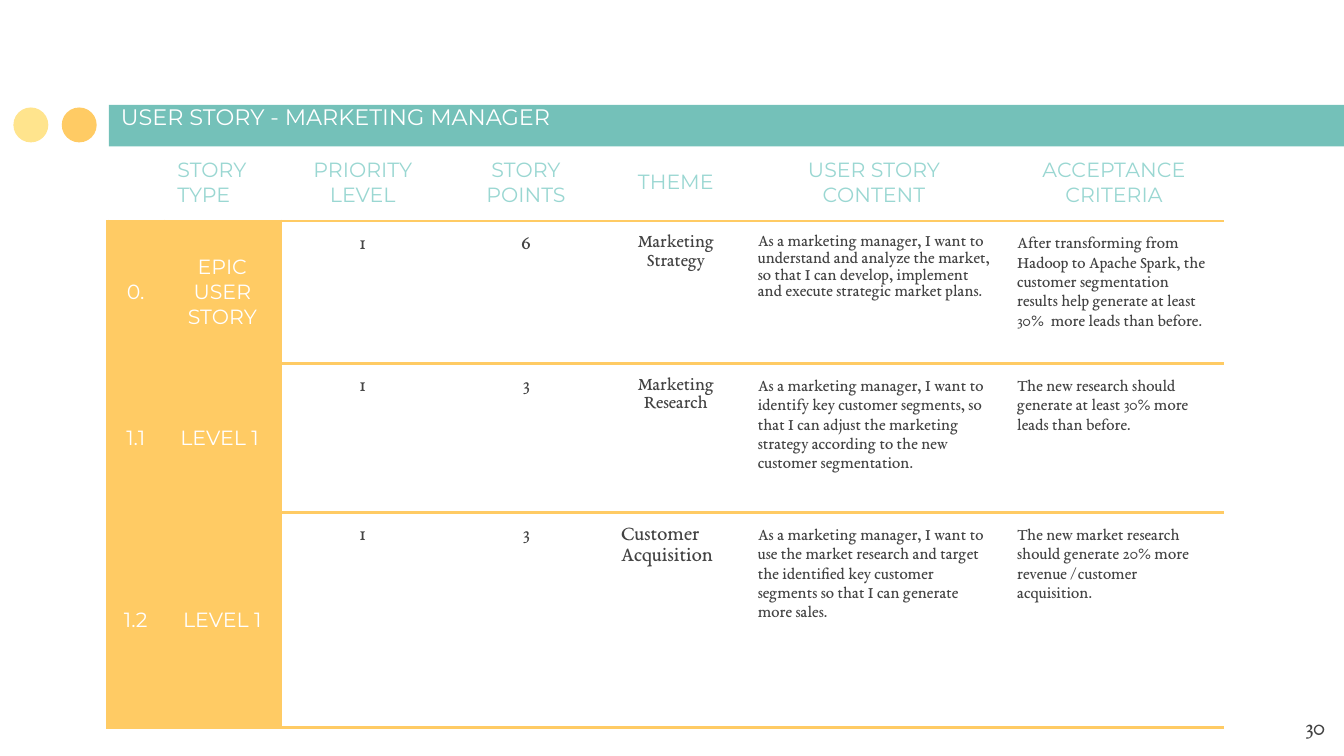
from lxml.etree import SubElement
from pptx import Presentation
from pptx.dml.color import RGBColor
from pptx.enum.shapes import MSO_SHAPE
from pptx.enum.text import MSO_ANCHOR, MSO_AUTO_SIZE, PP_ALIGN
from pptx.oxml.ns import qn
from pptx.util import Inches, Pt

SANS, SERIF = "Montserrat", "EB Garamond"
TEAL, PALE_TEAL, YELLOW, PALE_YELLOW = "74C1B9", "9AD7D2", "FFCB64", "FFE48D"
WHITE, GREY = "FFFFFF", "434343"
LEFT, CENTER, RIGHT = PP_ALIGN.LEFT, PP_ALIGN.CENTER, PP_ALIGN.RIGHT
INSET = Inches(0.1)

COLUMNS = [0.42, 0.87, 1.22, 1.21, 1.02, 1.93, 1.64]
ROWS = [0.51, 1.06, 1.11, 1.6]
LABEL_COLUMNS = 2
THEME_COLUMN = 4
STORIES = [
    ["", "STORY TYPE", "PRIORITY LEVEL", "STORY POINTS", "THEME",
     "USER STORY CONTENT", "ACCEPTANCE CRITERIA"],
    ["0.", "EPIC USER STORY", "1", "6", "Marketing Strategy",
     "As a marketing manager, I want to understand and analyze the market, "
     "so that I can develop, implement and execute strategic market plans.",
     "After transforming from Hadoop to Apache Spark, the customer segmentation "
     "results help generate at least 30%  more leads than before."],
    ["1.1", "LEVEL 1 ", "1", "3", "Marketing Research",
     "As a marketing manager, I want to identify key customer segments, so that I can "
     "adjust the marketing strategy according to the new customer segmentation.",
     "The new research should generate at least 30% more leads than before."],
    ["1.2", "LEVEL 1", "1", "3", "Customer Acquisition",
     "As a marketing manager, I want to use the market research and target the "
     "identified key customer segments so that I can generate more sales.",
     "The new market research should generate 20% more revenue / customer acquisition."],
]


def rgb(color):
    return RGBColor.from_string(color)


def write(tf, text, font=SERIF, size=11, color=GREY, align=LEFT, spacing=1.0):
    p = tf.paragraphs[0]
    p.alignment = align
    p.line_spacing = spacing
    r = p.add_run()
    r.text = text
    r.font.name = font
    r.font.size = Pt(size)
    r.font.bold = False
    r.font.color.rgb = rgb(color)


def format_frame(tf, anchor=MSO_ANCHOR.TOP):
    tf.word_wrap = True
    tf.auto_size = MSO_AUTO_SIZE.NONE
    tf.vertical_anchor = anchor
    tf.margin_left = tf.margin_right = tf.margin_top = tf.margin_bottom = INSET


def add_block(s, shape, x, y, w, h, color):
    sp = s.shapes.add_shape(shape, Inches(x), Inches(y), Inches(w), Inches(h))
    sp.shadow.inherit = False
    sp.fill.solid()
    sp.fill.fore_color.rgb = rgb(color)
    sp.line.fill.background()


def set_title(s, text):
    sp = s.shapes.title
    sp.left, sp.top, sp.width, sp.height = map(Inches, (0.8, 0.73, 6.05, 0.34))
    format_frame(sp.text_frame, MSO_ANCHOR.BOTTOM)
    write(sp.text_frame, text, SANS, 12, WHITE)


def add_page_number(s, number):
    sp = s.shapes.add_textbox(*map(Inches, (9.36, 5.19, 0.6, 0.43)))
    format_frame(sp.text_frame)
    write(sp.text_frame, number, size=13, align=RIGHT)


def set_borders(cell, sides):
    """Draw the sides named among L, R, T and B, and clear the others."""
    tc_pr = cell._tc.get_or_add_tcPr()
    for side in "LRTB":
        ln = SubElement(tc_pr, qn(f"a:ln{side}"), w=str(Pt(1.5)))
        if side in sides:
            fill = SubElement(ln, qn("a:solidFill"))
            SubElement(fill, qn("a:srgbClr"), val=YELLOW)
        else:
            SubElement(ln, qn("a:noFill"))


def cell_format(row, col):
    """Text format by the cell's part in the table."""
    if row == 0:
        return dict(font=SANS, color=PALE_TEAL, align=LEFT if col == 1 else CENTER)
    if col < LABEL_COLUMNS:
        return dict(font=SANS, color=WHITE, align=CENTER)
    if col < THEME_COLUMN:
        return dict(align=CENTER)
    if col == THEME_COLUMN:
        return dict() if row == 3 else dict(size=10, align=CENTER)
    return dict(size=9, spacing=1.0 if (row, col) == (1, 5) else 1.15)


def format_cell(cell, row, col):
    label = row > 0 and col < LABEL_COLUMNS
    if row == 0:
        sides = "B"
    elif label:
        sides = "LRTB"
    else:
        sides = "LTB" if col == LABEL_COLUMNS else "TB"
    set_borders(cell, sides)
    if label:
        cell.fill.solid()
        cell.fill.fore_color.rgb = rgb(YELLOW)
    else:
        cell.fill.background()
    cell.margin_left = cell.margin_right = cell.margin_top = cell.margin_bottom = INSET
    cell.vertical_anchor = MSO_ANCHOR.MIDDLE if row == 0 or label else MSO_ANCHOR.TOP


def add_story_table(s):
    table = s.shapes.add_table(
        len(ROWS), len(COLUMNS), Inches(0.8), Inches(1.07),
        Inches(sum(COLUMNS)), Inches(sum(ROWS))).table
    table.first_row = table.horz_banding = False
    for column, width in zip(table.columns, COLUMNS):
        column.width = Inches(width)
    for row, height in zip(table.rows, ROWS):
        row.height = Inches(height)
    for i, story in enumerate(STORIES):
        for j, text in enumerate(story):
            cell = table.cell(i, j)
            format_cell(cell, i, j)
            if text:
                write(cell.text_frame, text, **cell_format(i, j))


def main():
    prs = Presentation()
    prs.slide_width = Inches(10)
    prs.slide_height = prs.slide_width * 9 // 16
    s = prs.slides.add_slide(prs.slide_layouts[5])
    add_block(s, MSO_SHAPE.RECTANGLE, 0.81, 0.78, 9.19, 0.31, TEAL)
    for x, color in ((0.46, YELLOW), (0.1, PALE_YELLOW)):
        add_block(s, MSO_SHAPE.OVAL, x, 0.8, 0.26, 0.26, color)
    set_title(s, "USER STORY - MARKETING MANAGER")
    s.shapes._spTree.append(s.shapes.title._element)  # bring the title above its bar
    add_story_table(s)
    add_page_number(s, "30")
    prs.save("out.pptx")


if __name__ == "__main__":
    main()
